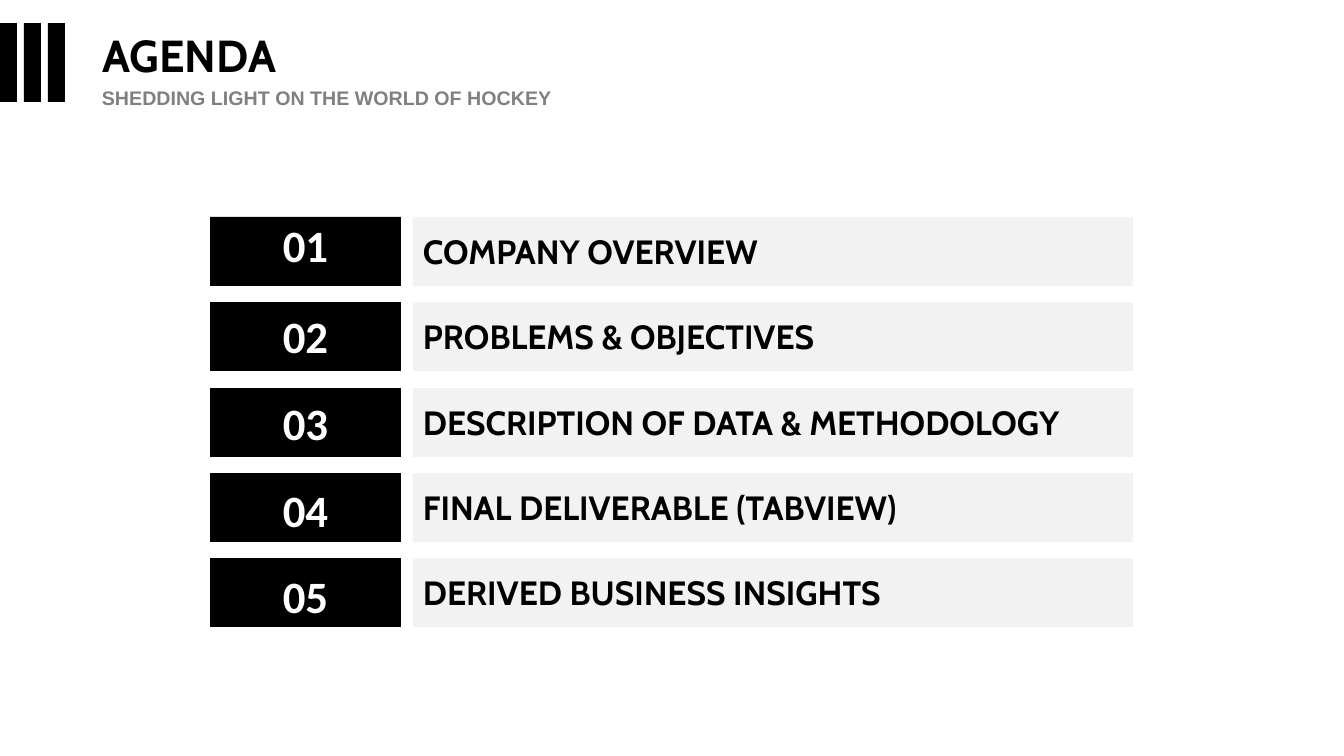
"""Build the agenda slide with five numbered topics."""
from pptx import Presentation
from pptx import util as u
from pptx.dml.color import RGBColor
from pptx.enum import shapes, text

TITLE = "AGENDA"
SUBTITLE = "SHEDDING LIGHT ON THE WORLD OF HOCKEY"
TOPICS = [
    ("01", -4, "COMPANY OVERVIEW"),
    ("02", 2, "PROBLEMS & OBJECTIVES"),
    ("03", 3, "DESCRIPTION OF DATA & METHODOLOGY"),
    ("04", 5, "FINAL DELIVERABLE (TABVIEW)"),
    ("05", 6, "DERIVED BUSINESS INSIGHTS"),
]
BLACK, WHITE, GREY, PALE = "000000", "FFFFFF", "808080", "F2F2F2"
FIRST_TOP, LAST_TOP, ROW_HEIGHT = 217, 558, 69
NUMBER_LEFT, NUMBER_WIDTH = 210, 191
LABEL_LEFT, LABEL_WIDTH = 413, 720
STRIPE_COUNT, STRIPE_STEP = 3, 24


def px(length):
    return u.Emu(round(length * 914400 / 100.8))


def colour(value):
    return RGBColor.from_string(value)


def add_bar(page, left, top, width, height, fill):
    bar = page.shapes.add_shape(shapes.MSO_SHAPE.RECTANGLE, *map(px, (left, top, width, height)))
    bar.shadow.inherit = False
    bar.fill.solid()
    bar.fill.fore_color.rgb = colour(fill)
    bar.line.fill.background()


def write(box, words, *, size, font, fill=BLACK, align=text.PP_ALIGN.LEFT, wrap=True):
    frame = box.text_frame
    frame.word_wrap = wrap
    frame.auto_size = text.MSO_AUTO_SIZE.NONE
    frame.vertical_anchor = text.MSO_ANCHOR.TOP
    para = frame.paragraphs[0]
    para.alignment = align
    span = para.add_run()
    span.text = words
    span.font.name = font
    span.font.size = u.Pt(size)
    span.font.bold = True
    span.font.color.rgb = colour(fill)


def add_text(page, left, top, width, height, words, **style):
    box = page.shapes.add_textbox(*map(px, (left, top, width, height)))
    write(box, words, **style)


def main():
    deck = Presentation()
    deck.slide_width, deck.slide_height = px(1344), px(756)
    page = deck.slides.add_slide(deck.slide_layouts[5])

    for index in range(STRIPE_COUNT):
        add_bar(page, index * STRIPE_STEP, 23, 17, 79, BLACK)

    title = page.shapes.title
    title.left, title.top, title.width, title.height = map(px, (92, 23, 200, 64))
    write(title, TITLE, size=32, font="Cabin", wrap=False)
    add_text(page, 92, 81, 523, 34, SUBTITLE, size=14, font="Arial", fill=GREY)

    step = (LAST_TOP - FIRST_TOP) / (len(TOPICS) - 1)
    for index, (number, shift, label) in enumerate(TOPICS):
        top = round(FIRST_TOP + index * step)
        add_bar(page, NUMBER_LEFT, top, NUMBER_WIDTH, ROW_HEIGHT, BLACK)
        add_text(page, NUMBER_LEFT, top + shift, NUMBER_WIDTH, 64, number,
                 size=32, font="Calibri", fill=WHITE, align=text.PP_ALIGN.CENTER)
        add_bar(page, LABEL_LEFT, top, LABEL_WIDTH, ROW_HEIGHT, PALE)
        add_text(page, LABEL_LEFT, top + 9, LABEL_WIDTH, 50, label, size=24, font="Cabin")

    deck.save("out.pptx")


if __name__ == "__main__":
    main()
